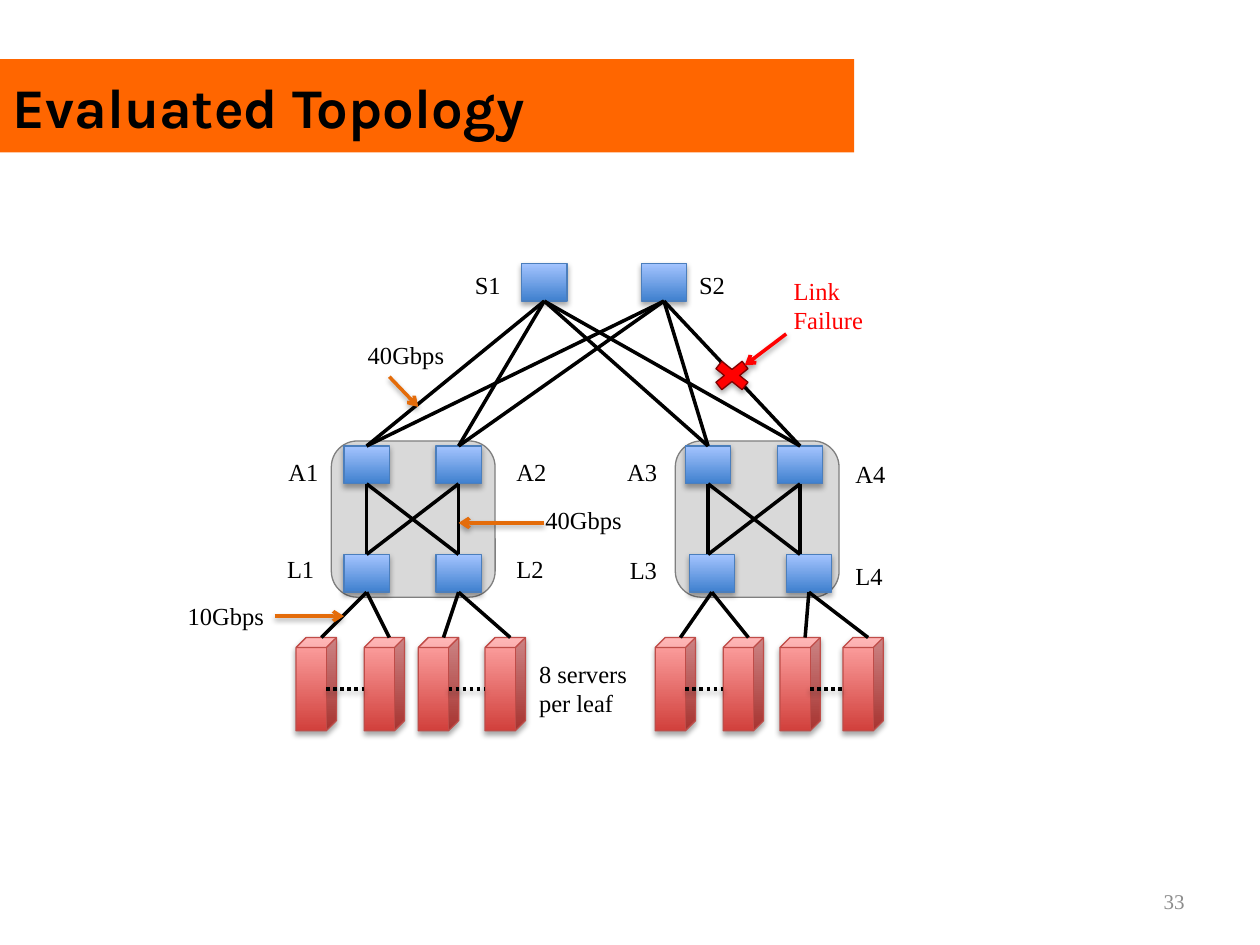
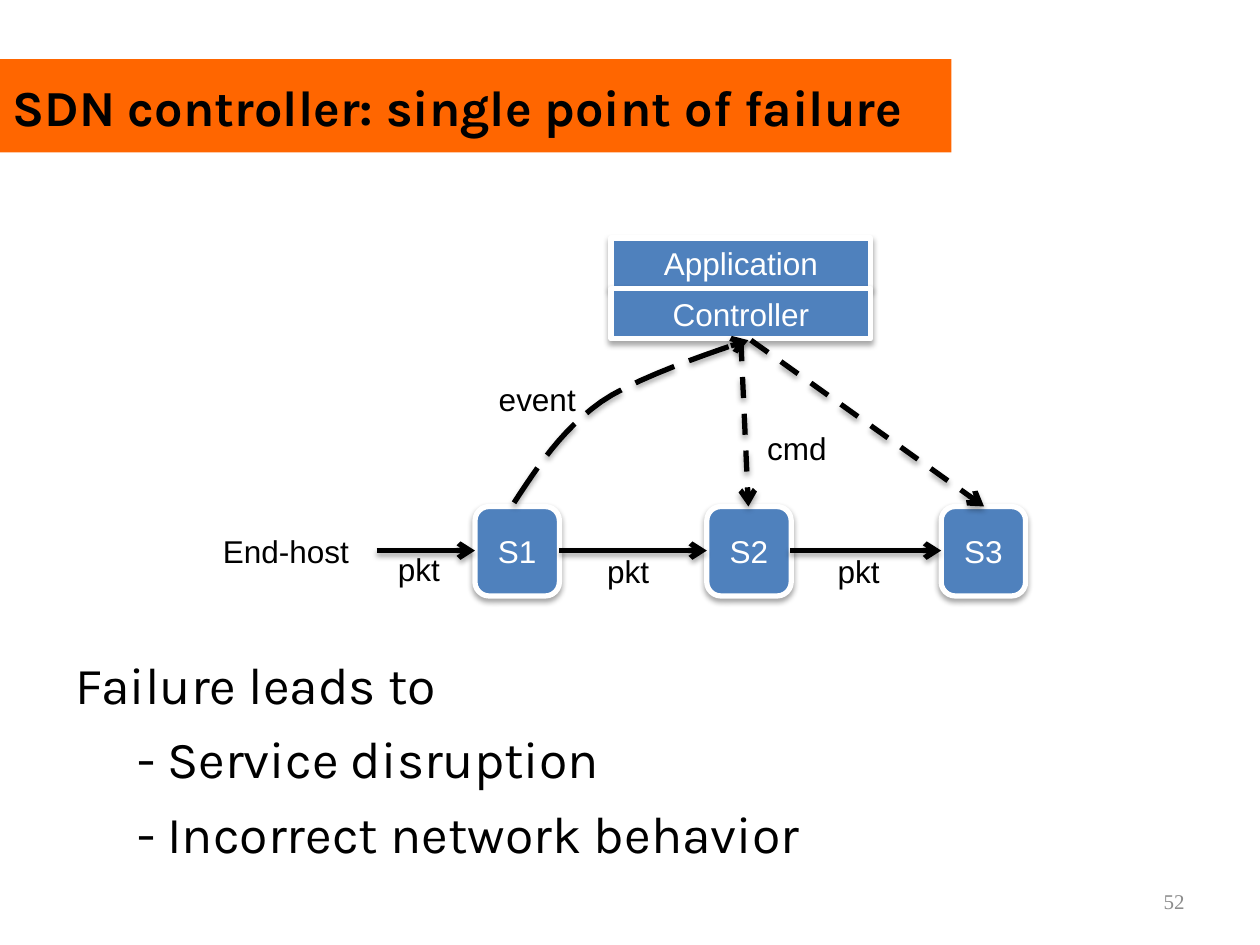
import dataclasses
import pptx
import pptx.dml.color
import pptx.enum.dml
import pptx.enum.shapes
import pptx.enum.text
import pptx.oxml
import pptx.oxml.ns
import pptx.util

Inches = pptx.util.Inches
Pt = pptx.util.Pt
RGB = pptx.dml.color.RGBColor.from_string
KIND = pptx.enum.shapes.MSO_SHAPE
DASH = pptx.enum.dml.MSO_LINE
ALIGN = pptx.enum.text.PP_ALIGN
ANCHOR = pptx.enum.text.MSO_ANCHOR
NAMESPACE = pptx.oxml.ns.nsdecls("a")


@dataclasses.dataclass
class Theme:
    band: str = "FF6600"
    ink: str = "000000"
    white: str = "FFFFFF"
    grey: str = "8C8C8C"
    pod: str = "D9D9D9"
    pod_edge: str = "7F7F7F"
    switch: tuple = ("3F80CE", "A4C4FF")
    switch_edge: str = "4B7EBC"
    server: tuple = ("D1403C", "FFA6A5")
    server_edge: str = "BF4C48"
    pointer: str = "E46C0A"
    failure: str = "FF0000"
    failure_edge: str = "800000"
    node: str = "4F81BD"
    heading_font: str = "Karla"
    label_font: str = "Times New Roman"
    node_font: str = "Arial"
    title_size: float = 32
    long_title_size: float = 28.8
    body_size: float = 29.6
    node_size: float = 18
    label_size: float = 14
    number_size: float = 12


theme = Theme()
EFFECTS = {
    False: f"<a:effectLst {NAMESPACE}/>",
    True: f'<a:effectLst {NAMESPACE}><a:outerShdw blurRad="40000" dist="23000" dir="5400000" '
          'rotWithShape="0"><a:srgbClr val="000000"><a:alpha val="35000"/></a:srgbClr>'
          '</a:outerShdw></a:effectLst>',
}


def place(page, kind, box, words="", fill=None, edge=None, width=0.75, shadow=False,
          font=theme.label_font, size=theme.label_size, color=theme.ink, bold=False,
          align=ALIGN.LEFT, anchor=ANCHOR.TOP):
    lengths = [Inches(value) for value in box]
    if kind is None:
        shape = page.shapes.add_textbox(*lengths)
    else:
        shape = page.shapes.add_shape(kind, *lengths)
        if isinstance(fill, tuple):
            shape.fill.gradient()
            shape.fill.gradient_angle = 90
            for stop, shade in zip(shape.fill.gradient_stops, fill):
                stop.color.rgb = RGB(shade)
        else:
            shape.fill.solid()
            shape.fill.fore_color.rgb = RGB(fill)
        if edge:
            shape.line.color.rgb = RGB(edge)
            shape.line.width = Pt(width)
        else:
            shape.line.fill.background()
        shape.element.spPr.append(pptx.oxml.parse_xml(EFFECTS[shadow]))
    if words:
        frame = shape.text_frame
        frame.word_wrap = True
        frame.vertical_anchor = anchor
        frame.text = words
        for para in frame.paragraphs:
            para.alignment = align
            for span in para.runs:
                span.font.name = font
                span.font.size = Pt(size)
                span.font.bold = bold
                span.font.color.rgb = RGB(color)
    return shape


def link(page, points, color=theme.ink, width=2, dash=None, arrow=False, shadow=False):
    points = [(Inches(x), Inches(y)) for x, y in points]
    if len(points) == 2:
        line = page.shapes.add_connector(
            pptx.enum.shapes.MSO_CONNECTOR.STRAIGHT, *points[0], *points[1])
    else:
        builder = page.shapes.build_freeform(*points[0])
        builder.add_line_segments(points[1:], close=False)
        line = builder.convert_to_shape()
        line.fill.background()
    line.line.color.rgb = RGB(color)
    line.line.width = Pt(width)
    if dash:
        line.line.dash_style = dash
    if arrow:
        line.line._get_or_add_ln().append(
            pptx.oxml.parse_xml(f'<a:tailEnd {NAMESPACE} type="arrow"/>'))
    line.element.spPr.append(pptx.oxml.parse_xml(EFFECTS[shadow]))


deck = pptx.Presentation()
deck.slide_width = Inches(10)
deck.slide_height = Inches(7.5)

pages = []
for title, band_width, size, number in [
    ("Evaluated Topology", 6.78, theme.title_size, "33"),
    ("SDN controller: single point of failure", 7.55, theme.long_title_size, "52"),
]:
    page = deck.slides.add_slide(deck.slide_layouts[6])
    place(page, KIND.RECTANGLE, (0, 0.47, band_width, 0.74), title, fill=theme.band,
          font=theme.heading_font, size=size, bold=True, anchor=ANCHOR.MIDDLE)
    place(page, None, (7.17, 6.95, 2.33, 0.4), number, size=theme.number_size,
          color=theme.grey, align=ALIGN.RIGHT, anchor=ANCHOR.MIDDLE)
    pages.append(page)
topology, controller = pages

for left in (2.63, 5.36):
    place(topology, KIND.ROUNDED_RECTANGLE, (left, 3.5, 1.3, 1.24),
          fill=theme.pod, edge=theme.pod_edge)

switch_width, switch_height = 0.36, 0.3
spine_top, aggregate_top, leaf_top = 2.09, 3.54, 4.4
switches = {
    "S1": (4.14, spine_top, 3.67, 2.09), "S2": (5.09, spine_top, 5.45, 2.09),
    "A1": (2.73, aggregate_top, 2.19, 3.58), "A2": (3.46, aggregate_top, 4, 3.58),
    "A3": (5.44, aggregate_top, 4.88, 3.58), "A4": (6.17, aggregate_top, 6.69, 3.59),
    "L1": (2.73, leaf_top, 2.18, 4.35), "L2": (3.46, leaf_top, 4, 4.35),
    "L3": (5.47, leaf_top, 4.9, 4.36), "L4": (6.24, leaf_top, 6.69, 4.4),
}
center = {}
for name, (left, top, label_left, label_top) in switches.items():
    center[name] = left + switch_width / 2
    place(topology, KIND.RECTANGLE, (left, top, switch_width, switch_height),
          fill=theme.switch, edge=theme.switch_edge, shadow=True)
    place(topology, None, (label_left, label_top, 0.5, 0.34), name)

for spine in ("S1", "S2"):
    for aggregate in ("A1", "A2", "A3", "A4"):
        link(topology, [(center[aggregate], aggregate_top),
                        (center[spine], spine_top + switch_height)])

for pair in (("A1", "A2"), ("A3", "A4")):
    for lower in pair:
        for upper in pair:
            link(topology, [(center[lower], leaf_top),
                            (center[upper], aggregate_top + switch_height)])

server_top = 5.06
racks = {"L1": (2.35, 2.89), "L2": (3.32, 3.85), "L3": (5.2, 5.74), "L4": (6.19, 6.69)}
for leaf, (first, last) in racks.items():
    for left in (first, last):
        place(topology, KIND.CUBE, (left, server_top, 0.32, 0.74),
              fill=theme.server, edge=theme.server_edge, shadow=True)
        link(topology, [(left + 0.2, server_top), (center[leaf], leaf_top + switch_height)])
    link(topology, [(first + 0.24, 5.47), (last, 5.47)], dash=DASH.ROUND_DOT, shadow=True)

place(topology, KIND.MATH_MULTIPLY, (5.61, 2.82, 0.4, 0.32),
      fill=theme.failure, edge=theme.failure_edge, shadow=True)

for words, box, color in [
    ("8 servers\nper leaf", (4.18, 5.18, 1.07, 0.57), theme.ink),
    ("40Gbps", (2.82, 2.65, 0.99, 0.34), theme.ink),
    ("40Gbps", (4.23, 3.96, 0.99, 0.34), theme.ink),
    ("10Gbps", (1.39, 4.72, 0.92, 0.34), theme.ink),
    ("Link Failure", (6.2, 2.14, 0.99, 0.57), theme.failure),
]:
    place(topology, None, box, words, color=color)

for start, end, color in [
    ((3.09, 2.99), (3.32, 3.23), theme.pointer),
    ((4.32, 4.15), (3.64, 4.15), theme.pointer),
    ((2.18, 4.89), (2.73, 4.89), theme.pointer),
    ((6.24, 2.65), (5.91, 2.9), theme.failure),
]:
    link(topology, [start, end], color=color, arrow=True, shadow=True)

body = place(controller, None, (0.5, 5.13, 9, 1.57),
             "Failure leads to\n- Service disruption\n- Incorrect network behavior",
             font=theme.heading_font, size=theme.body_size)
for para in body.text_frame.paragraphs:
    para.space_before = Pt(7)
for para in body.text_frame.paragraphs[1:]:
    para._p.get_or_add_pPr().set("marL", str(Inches(0.49)))

for name, kind, box in [
    ("S1", KIND.ROUNDED_RECTANGLE, (3.77, 4.02, 0.67, 0.71)),
    ("S2", KIND.ROUNDED_RECTANGLE, (5.61, 4.02, 0.67, 0.71)),
    ("S3", KIND.ROUNDED_RECTANGLE, (7.47, 4.02, 0.67, 0.71)),
    ("Application", KIND.RECTANGLE, (4.85, 1.89, 2.06, 0.4)),
    ("Controller", KIND.RECTANGLE, (4.85, 2.29, 2.06, 0.4)),
]:
    place(controller, kind, box, name, fill=theme.node, edge=theme.white, width=3,
          shadow=True, font=theme.node_font, size=theme.node_size, color=theme.white,
          align=ALIGN.CENTER, anchor=ANCHOR.MIDDLE)

for words, left, top, width in [
    ("End-host", 1.67, 4.17, 1.32), ("event", 3.86, 2.97, 0.88), ("cmd", 5.99, 3.36, 0.88),
    ("pkt", 3.06, 4.32, 0.55), ("pkt", 4.72, 4.33, 0.55), ("pkt", 6.55, 4.33, 0.55),
]:
    place(controller, None, (left, top, width, 0.4), words,
          font=theme.node_font, size=theme.node_size)

event_curve = [(4.08, 3.99)]
for controls in [
    ((4.08, 3.99), (4.27, 3.7), (4.46, 3.41), (4.77, 3.19)),
    ((4.77, 3.19), (5.08, 2.97), (5.94, 2.7), (5.94, 2.7)),
]:
    for step in range(1, 13):
        t = step / 12
        weights = ((1 - t) ** 3, 3 * t * (1 - t) ** 2, 3 * t ** 2 * (1 - t), t ** 3)
        event_curve.append(tuple(
            sum(weight * point[axis] for weight, point in zip(weights, controls))
            for axis in (0, 1)))

for points, dash in [
    (event_curve, DASH.LONG_DASH),
    ([(5.88, 2.7), (5.94, 4.02)], DASH.DASH),
    ([(5.96, 2.7), (7.81, 4.02)], DASH.DASH),
    ([(2.99, 4.37), (3.77, 4.37)], None),
    ([(4.44, 4.37), (5.61, 4.37)], None),
    ([(6.27, 4.37), (7.47, 4.37)], None),
]:
    link(controller, points, width=3, dash=dash, arrow=True, shadow=True)

deck.save("out.pptx")
